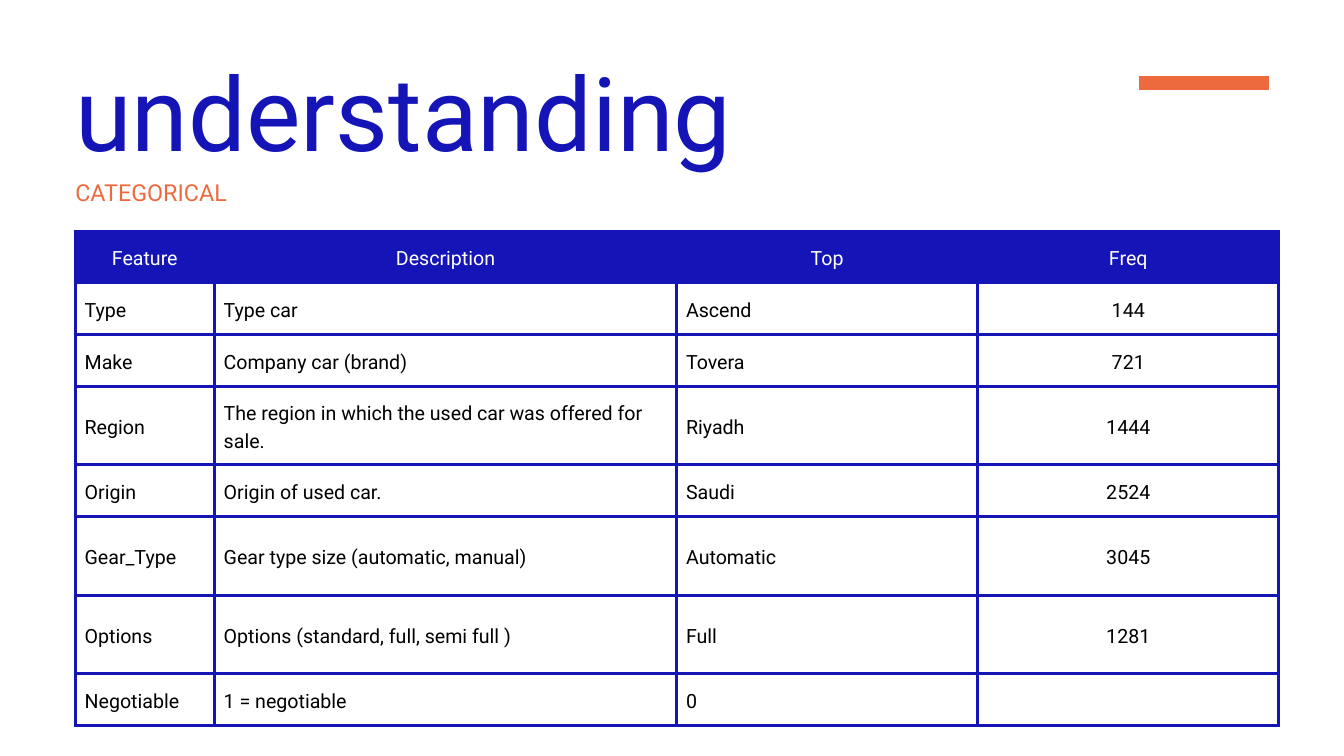
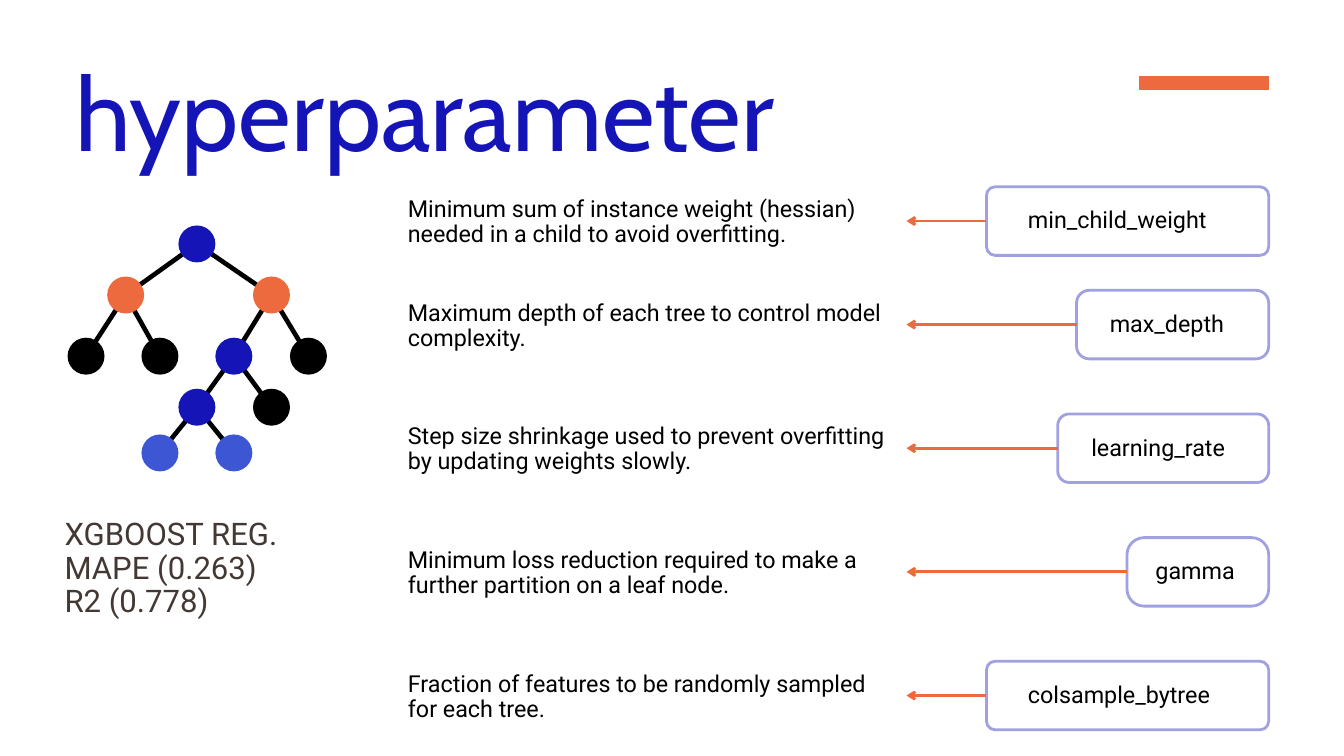
"""Build two slides: a table of car features and a guide to tree model settings."""
from lxml.etree import SubElement
from pptx import Presentation
from pptx.dml.color import RGBColor
from pptx.enum.shapes import MSO_CONNECTOR as Link, MSO_SHAPE as Form
from pptx.enum.text import MSO_ANCHOR as Anchor, PP_ALIGN as Align
from pptx.oxml import parse_xml
from pptx.oxml.ns import nsdecls, qn
from pptx.util import Emu, Pt

PX = 9144
BLUE, ORANGE, BLACK, WHITE = "1414B7", "ED6A3E", "000000", "FFFFFF"
SKY, BROWN = "3C56D4", "433833"

COLS = [207, 688, 448, 448]
LOW, TALL = 77, 117
HEADS = ("Feature", "Description", "Top", "Freq")
CARS = [
    (LOW, "Type", "Type car", "Ascend", "144"),
    (LOW, "Make", "Company car (brand)", "Tovera", "721"),
    (TALL, "Region", "The region in which the used car was offered for sale.", "Riyadh", "1444"),
    (LOW, "Origin", "Origin of used car.", "Saudi", "2524"),
    (TALL, "Gear_Type", "Gear type size (automatic, manual)", "Automatic", "3045"),
    (TALL, "Options", "Options (standard, full, semi full )", "Full", "1281"),
    (LOW, "Negotiable", "1 = negotiable", "0", ""),
]

RIGHT, TIP, TAG = 1888, 1349, 102
KNOBS = [
    (278, 420, 58, "min_child_weight",
     "Minimum sum of instance weight (hessian) needed in a child to avoid overfitting."),
    (432, 286, 44, "max_depth", "Maximum depth of each tree to control model complexity."),
    (616, 314, 45, "learning_rate",
     "Step size shrinkage used to prevent overfitting by updating weights slowly."),
    (800, 211, 35, "gamma",
     "Minimum loss reduction required to make a further partition on a leaf node."),
    (984, 420, 58, "colsample_bytree",
     "Fraction of features to be randomly sampled for each tree."),
]

DOT = 55
NODES = [
    (293, 363, BLUE, None), (187, 439, ORANGE, 0), (404, 439, ORANGE, 0),
    (128, 530, BLACK, 1), (238, 530, BLACK, 1), (348, 530, BLUE, 2),
    (459, 530, BLACK, 2), (293, 606, BLUE, 5), (404, 606, BLACK, 5),
    (238, 674, SKY, 7), (348, 674, SKY, 7),
]


def px(*nums):
    """Turn px into EMU."""
    return [Emu(round(n * PX)) for n in nums]


def hue(code):
    """Turn a hex string into a colour."""
    return RGBColor.from_string(code)


def write(frame, text, size=25, color=BLACK, font="Roboto", lead=26.7, align=Align.LEFT):
    """Fill a text frame, one paragraph per line."""
    frame.word_wrap = True
    for n, line in enumerate(text.split("\n")):
        para = frame.paragraphs[0] if n == 0 else frame.add_paragraph()
        para.alignment, para.line_spacing = align, Pt(lead)
        run = para.add_run()
        run.text = line
        face = run.font
        face.name, face.size, face.bold = font, Pt(size), False
        face.color.rgb = hue(color)


def inset(frame, left=0, anchor=Anchor.TOP):
    """Clear the margins of a frame, but for the left one."""
    frame.margin_left = px(left)[0]
    frame.margin_top = frame.margin_right = frame.margin_bottom = 0
    frame.vertical_anchor = anchor


def label(slide, box, text, **look):
    """Add a text box."""
    frame = slide.shapes.add_textbox(*px(*box)).text_frame
    inset(frame)
    write(frame, text, **look)


def rule(slide, ends, color, width, arrow=False):
    """Add a straight line, with an arrowhead at its end if asked."""
    line = slide.shapes.add_connector(Link.STRAIGHT, *px(*ends))
    line.line.color.rgb = hue(color)
    line.line.width = Pt(width)
    props = line._element.spPr
    if arrow:
        SubElement(props.find(qn("a:ln")), qn("a:tailEnd"), type="arrow")
    SubElement(props, qn("a:effectLst"))
    return line


def start(deck, title, font):
    """Add a slide with its title and orange bar."""
    slide = deck.slides.add_slide(deck.slide_layouts[5])
    rule(slide, (RIGHT, 123, 1695, 123), ORANGE, 15)
    head = slide.shapes.title
    head.left, head.top, head.width, head.height = px(112, 120, 1219, 146)
    inset(head.text_frame)
    write(head.text_frame, title, size=110, color=BLUE, font=font, lead=97.9)
    return slide


def edge(cell):
    """Draw the four borders of a table cell."""
    props = cell._tc.get_or_add_tcPr()
    for n, side in enumerate("LRTB"):
        props.insert(n, parse_xml(
            f'<a:ln{side} {nsdecls("a")} w="{Pt(3.75)}"><a:solidFill>'
            f'<a:srgbClr val="{BLUE}"/></a:solidFill></a:ln{side}>'))


def grid(slide):
    """Add the table of features."""
    rows = [(LOW, *HEADS)] + CARS
    size = sum(COLS), sum(row[0] for row in rows)
    table = slide.shapes.add_table(len(rows), len(COLS), *px(112, 344, *size)).table
    table.first_row = table.horz_banding = False
    for col, width in zip(table.columns, px(*COLS)):
        col.width = width
    for r, (height, *words) in enumerate(rows):
        table.rows[r].height = px(height)[0]
        for c, word in enumerate(words):
            cell = table.cell(r, c)
            cell.margin_left = cell.margin_right = cell.margin_top = cell.margin_bottom = px(14)[0]
            cell.vertical_anchor = Anchor.MIDDLE
            if r:
                cell.fill.background()
            else:
                cell.fill.solid()
                cell.fill.fore_color.rgb = hue(BLUE)
            edge(cell)
            if word:
                mid = r == 0 or c == len(COLS) - 1
                write(cell.text_frame, word, size=21, lead=29.4,
                      color=BLACK if r else WHITE,
                      align=Align.CENTER if mid else Align.LEFT)


def knob(slide, top, width, pad, name, note):
    """Add a named setting, its arrow and its note."""
    left, mid = RIGHT - width, top + TAG / 2
    tag = slide.shapes.add_shape(Form.ROUNDED_RECTANGLE, *px(left, top, width, TAG))
    tag.adjustments[0] = 5400 / width / TAG
    tag.shadow.inherit = False
    tag.fill.background()
    tag.line.width = Pt(3)
    tag.line.color.rgb = hue(BLUE)
    tone = tag._element.spPr.find(".//" + qn("a:srgbClr"))
    SubElement(tone, qn("a:alpha"), val="40000")
    inset(tag.text_frame, pad, Anchor.MIDDLE)
    write(tag.text_frame, name)
    arrow = rule(slide, (left, mid, TIP, mid), ORANGE, 3, arrow=True)
    arrow.begin_connect(tag, 1)
    label(slide, (607, top + 16, 724, 74), note)


def tree(slide):
    """Add the tree, branches below nodes."""
    for x, y, _, root in NODES:
        if root is not None:
            rule(slide, (*NODES[root][:2], x, y), BLACK, 5)
    for x, y, color, _ in NODES:
        dot = slide.shapes.add_shape(Form.OVAL, *px(x - DOT / 2, y - DOT / 2, DOT, DOT))
        dot.shadow.inherit = False
        dot.fill.solid()
        dot.fill.fore_color.rgb = hue(color)
        dot.line.fill.background()


def main():
    """Build and save the deck."""
    deck = Presentation()
    deck.slide_width, deck.slide_height = px(2000, 1125)

    slide = start(deck, "understanding", "Roboto")
    grid(slide)
    label(slide, (112, 269, 245, 38), "CATEGORICAL", color=ORANGE)

    slide = start(deck, "hyperparameter", "Cabin")
    for item in KNOBS:
        knob(slide, *item)
    tree(slide)
    label(slide, (96, 756, 391, 63), "XGBOOST REG.", size=33.3, color=BROWN, lead=46.6)
    label(slide, (96, 822, 391, 99), "MAPE (0.263)\nR2 (0.778)",
          size=33.3, color=BROWN, lead=35.6)
    deck.save("out.pptx")


if __name__ == "__main__":
    main()
